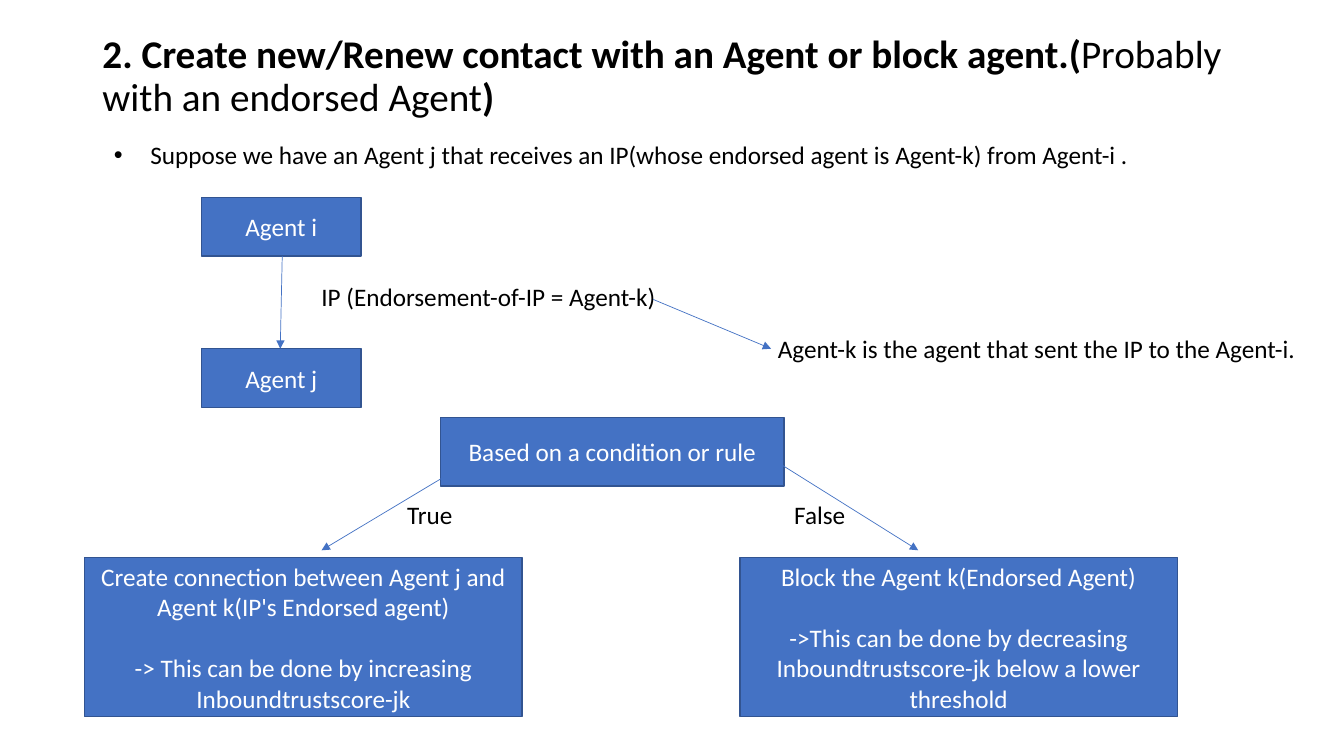
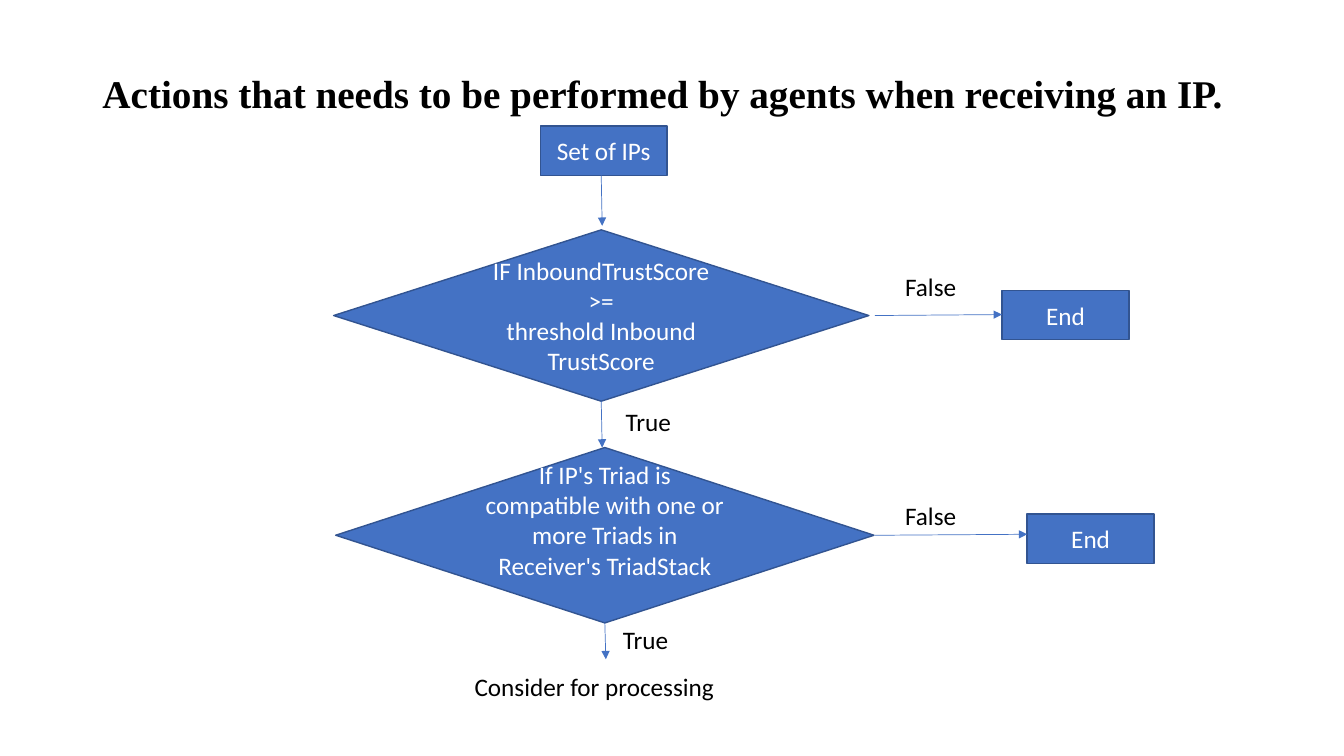
from dataclasses import dataclass

from lxml.etree import SubElement
from pptx import Presentation
from pptx.dml.color import RGBColor
from pptx.enum.shapes import MSO_CONNECTOR as Connector, MSO_SHAPE as Shape
from pptx.enum.text import MSO_ANCHOR as Anchor, MSO_AUTO_SIZE as AutoSize, PP_ALIGN as Align
from pptx.oxml.ns import qn
from pptx.util import Pt


@dataclass(frozen=True)
class Theme:
    fill: RGBColor = RGBColor(0x44, 0x72, 0xC4)
    outline: RGBColor = RGBColor(0x32, 0x54, 0x91)
    ink: RGBColor = RGBColor(0, 0, 0)
    paper: RGBColor = RGBColor(255, 255, 255)
    font: str = "Calibri"
    serif: str = "Times New Roman"
    title_size: int = 28
    text_size: int = 18
    outline_width: float = 1
    arrow_width: float = 0.5
    label_height: float = 28.8


@dataclass(frozen=True)
class Box:
    x: float
    y: float
    w: float
    h: float

    @property
    def mid_x(self):
        return self.x + self.w / 2

    @property
    def mid_y(self):
        return self.y + self.h / 2

    @property
    def right(self):
        return self.x + self.w

    @property
    def bottom(self):
        return self.y + self.h

    def inner(self, dx, dy, w, h):
        return Box(self.x + dx, self.y + dy, w, h)

    def points(self):
        return [Pt(v) for v in (self.x, self.y, self.w, self.h)]


THEME = Theme()


def apply(target, values):
    for name, value in values.items():
        setattr(target, name, value)


def style_run(r, color, size=THEME.text_size, font=THEME.font, bold=False):
    apply(r.font, {"name": font, "size": Pt(size), "bold": bold})
    r.font.color.rgb = color


def write(tf, paragraphs, color, align, gap=0):
    tf.word_wrap = True
    for i, text in enumerate(paragraphs):
        p = tf.paragraphs[0] if i == 0 else tf.add_paragraph()
        apply(p, {"alignment": align, "space_before": Pt(gap if i else 0)})
        r = p.add_run()
        r.text = text
        style_run(r, color)


def place(shape, box):
    apply(shape, dict(zip(("left", "top", "width", "height"), box.points())))


def title(s, box, runs, font=THEME.font):
    sp = s.shapes.title
    place(sp, box)
    tf = sp.text_frame
    apply(tf, {"vertical_anchor": Anchor.MIDDLE, "auto_size": AutoSize.NONE, "word_wrap": True})
    p = tf.paragraphs[0]
    apply(p, {"alignment": Align.LEFT, "line_spacing": 0.9})
    for text, bold in runs:
        r = p.add_run()
        r.text = text
        style_run(r, THEME.ink, THEME.title_size, font, bold)


def bullet(s, box, text, indent=26):
    sp = s.placeholders[1]
    place(sp, box)
    tf = sp.text_frame
    tf.auto_size = AutoSize.NONE
    write(tf, [text], THEME.ink, Align.LEFT)
    pPr = tf.paragraphs[0]._p.get_or_add_pPr()
    pPr.set("marL", str(Pt(indent)))
    pPr.set("indent", str(-Pt(indent)))


def node(s, box, *paragraphs, kind=Shape.RECTANGLE, gap=0):
    sp = s.shapes.add_shape(kind, *box.points())
    sp.shadow.inherit = False
    sp.fill.solid()
    sp.fill.fore_color.rgb = THEME.fill
    sp.line.color.rgb = THEME.outline
    sp.line.width = Pt(THEME.outline_width)
    sp.text_frame.vertical_anchor = Anchor.MIDDLE
    write(sp.text_frame, paragraphs, THEME.paper, Align.CENTER, gap)
    return sp


def label(s, x, y, w, text):
    sp = s.shapes.add_textbox(*Box(x, y, w, THEME.label_height).points())
    write(sp.text_frame, [text], THEME.ink, Align.LEFT)


def arrow(s, *ends):
    line = s.shapes.add_connector(Connector.STRAIGHT, *[Pt(v) for v in ends])
    line.line.color.rgb = THEME.fill
    line.line.width = Pt(THEME.arrow_width)
    spPr = line._element.spPr
    SubElement(spPr.find(qn("a:ln")), qn("a:tailEnd"), type="triangle")
    SubElement(spPr, qn("a:effectLst"))


def message_flow(s, box):
    sender = box.inner(0, 0, 113.8, 41.8)
    receiver = box.inner(0, 108, 113.8, 41.8)
    node(s, sender, "Agent i")
    node(s, receiver, "Agent j")
    arrow(s, sender.mid_x + 0.7, sender.bottom, receiver.mid_x - 0.7, receiver.y)
    label(s, box.x + 78.5, box.y + 56.3, 257.8, "IP (Endorsement-of-IP = Agent-k)")
    arrow(s, box.x + 322.6, box.y + 72.8, box.x + 406.8, box.y + 108)
    label(s, box.x + 404.6, box.y + 93.7, 398.2,
          "Agent-k is the agent that sent the IP to the Agent-i.")


def rule_branches(s, box):
    rule = box.inner(254.1, 0, 245.5, 49)
    node(s, rule, "Based on a condition or rule")
    branches = (
        (0, "True", 223.2, (rule.x + 1.5, 43.2, 169.2),
         ("Create connection between Agent j and Agent k(IP's Endorsed agent)",
          "-> This can be done by increasing Inboundtrustscore-jk")),
        (468, "False", 499.7, (rule.right - 2, 33.8, 595.4),
         ("Block the Agent k(Endorsed Agent)",
          "->This can be done by decreasing Inboundtrustscore-jk below a lower threshold")),
    )
    for dx, answer, label_dx, (start_x, start_dy, end_dx), outcome in branches:
        node(s, box.inner(dx, 100.1, 312.5, 113.8), *outcome, gap=22)
        arrow(s, start_x, box.y + start_dy, box.x + end_dx, box.y + 95)
        label(s, box.x + label_dx, box.y + 54.7, 62.6, answer)


def decision(s, box, paragraphs, end, false_y, true_at, next_y, lift=0):
    sp = node(s, box, *paragraphs, kind=Shape.DIAMOND)
    apply(sp.text_frame, {"margin_left": Pt(9), "margin_right": Pt(9),
                          "margin_bottom": Pt(3.6 + lift)})
    node(s, end, "End")
    arrow(s, 625, box.mid_y, end.x, box.mid_y - 0.7)
    label(s, 639.4, false_y, 216, "False")
    label(s, *true_at, 216, "True")
    arrow(s, box.mid_x, box.bottom, box.mid_x + 0.7, next_y)


def contact_slide(prs):
    s = prs.slides.add_slide(prs.slide_layouts[1])
    title(s, Box(66, 14.4, 828, 81.4), (
        ("2. Create new/Renew contact with an Agent or block agent.(", True),
        ("Probably with an endorsed Agent", False),
        (")", True)))
    bullet(s, Box(74.2, 95.8, 779, 28.8),
           "Suppose we have an Agent j that receives an IP(whose endorsed agent is Agent-k) from Agent-i .")
    message_flow(s, Box(144, 141.1, 803, 150))
    rule_branches(s, Box(60.5, 298.1, 780.5, 213.9))


def actions_slide(prs):
    s = prs.slides.add_slide(prs.slide_layouts[5])
    title(s, Box(66, 28.8, 828, 79.2),
          [("Actions that needs to be performed by agents when receiving an IP.", True)],
          THEME.serif)
    start = Box(385.9, 90, 90.7, 35.3)
    node(s, start, "Set of IPs")
    trust = Box(238.3, 164.2, 382.3, 122.4)
    triad = Box(239.8, 319.7, 384.5, 125.3)
    arrow(s, trust.mid_x, start.bottom, trust.mid_x + 0.7, 161.3)
    decision(s, trust, ("IF InboundTrustScore >=", "threshold Inbound TrustScore"),
             Box(715.7, 207.4, 90.7, 35.3), 190.1, (439.9, 286.6), triad.y)
    decision(s, triad, ("If IP's Triad is compatible with one or",
                        "more Triads in Receiver's TriadStack"),
             Box(733.7, 367.2, 90.7, 35.3), 353.5, (437.8, 442.1), 470.9, lift=22)
    label(s, 331.9, 475.9, 216, "Consider for processing")


def main():
    prs = Presentation()
    apply(prs, {"slide_width": Pt(960), "slide_height": Pt(540)})
    contact_slide(prs)
    actions_slide(prs)
    prs.save("out.pptx")


if __name__ == "__main__":
    main()
